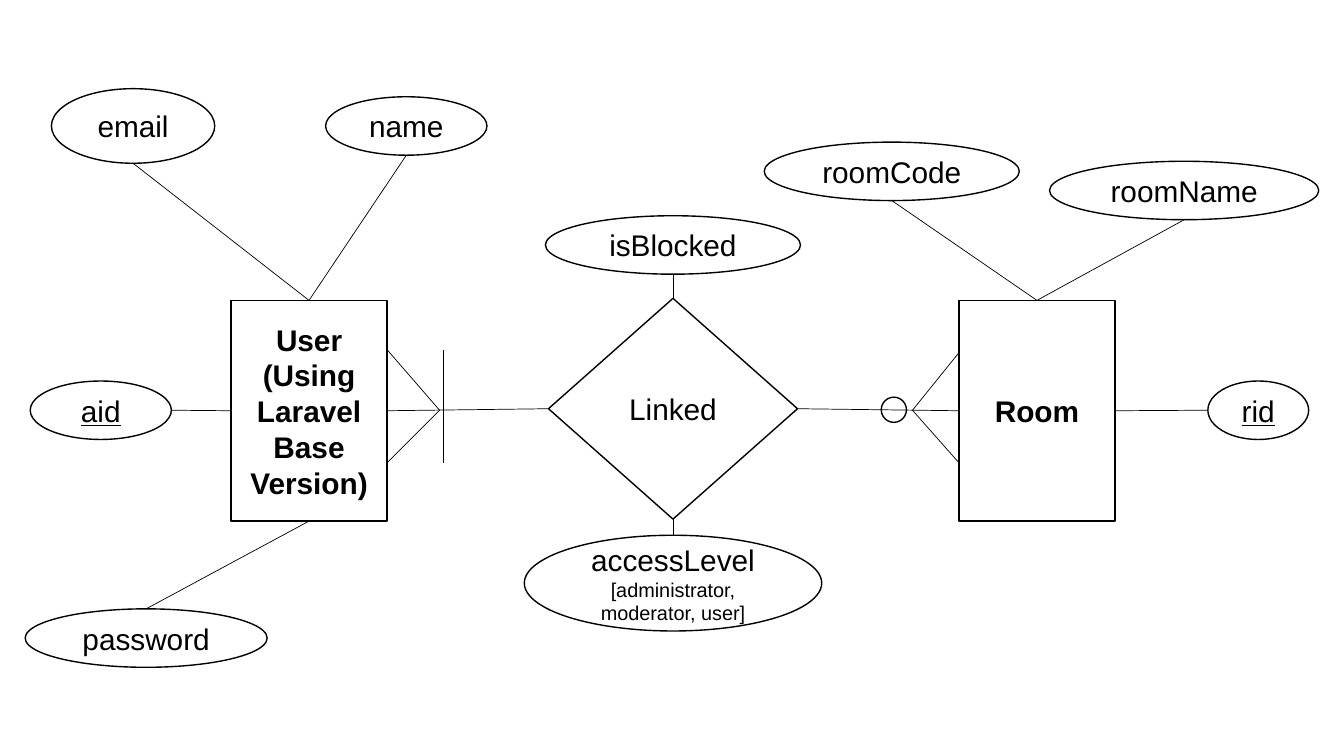
from pptx import Presentation
from pptx.dml.color import RGBColor
from pptx.enum.shapes import MSO_CONNECTOR, MSO_SHAPE
from pptx.enum.text import MSO_ANCHOR, PP_ALIGN
from pptx.oxml.ns import qn
from pptx.util import Inches, Pt
from lxml.etree import SubElement

CELL = 0.1
INK = "000000"
SIDES = {"top": (0.5, 0), "left": (0, 0.5), "low": (0.5, 1), "right": (1, 0.5)}


def grid(count):
    return Inches(count * CELL)


def paint(color, code):
    color.rgb = RGBColor.from_string(code)


def apply(target, values):
    for name, value in values.items():
        setattr(target, name, value)


def side(box, name):
    left, top, width, height = box
    across, down = SIDES[name]
    return left + across * width, top + down * height


class Chart:
    font = {"name": "Arial", "size": Pt(21.3)}
    frame = {"word_wrap": True, "vertical_anchor": MSO_ANCHOR.MIDDLE}

    def __init__(self, slide):
        self.slide = slide

    def node(self, kind, box, lines=(), **extra):
        shape = self.slide.shapes.add_shape(kind, *map(grid, box))
        shape.shadow.inherit = False
        shape.fill.background()
        shape.line.width = Pt(1)
        paint(shape.line.color, INK)
        frame = shape.text_frame
        apply(frame, self.frame)
        for index, (text, style) in enumerate(lines):
            para = frame.add_paragraph() if index else frame.paragraphs[0]
            para.alignment = PP_ALIGN.CENTER
            run = para.add_run()
            run.text = text
            apply(run.font, {**self.font, **extra, **style})
            paint(run.font.color, INK)

    def link(self, start, end):
        line = self.slide.shapes.add_connector(
            MSO_CONNECTOR.STRAIGHT, *map(grid, (*start, *end)))
        line.line.width = Pt(0.5)
        paint(line.line.color, INK)
        SubElement(line._element.spPr, qn("a:effectLst"))

    def foot(self, edge, tip, rows):
        for row in rows:
            self.link((edge, row), (tip, 40.7))


deck = Presentation()
deck.slide_width, deck.slide_height = Inches(13.33), Inches(7.5)
chart = Chart(deck.slides.add_slide(deck.slide_layouts[6]))

user = (22.9, 29.8, 15.5, 21.9)
room = (95.1, 29.8, 15.5, 21.9)
bond = (54.4, 29.6, 24.7, 21.9)
ring = (87.4, 39.4, 2.5, 2.5)

chart.node(MSO_SHAPE.RECTANGLE, user,
           [("User (Using Laravel Base Version)", {})], bold=True)
chart.node(MSO_SHAPE.RECTANGLE, room, [("Room", {})], bold=True)
chart.node(MSO_SHAPE.DIAMOND, bond, [("Linked", {})])
chart.node(MSO_SHAPE.OVAL, ring)

fields = [
    ("email", (5.1, 8.8, 16.2, 7.4), "low", user, "top", {}),
    ("name", (32.3, 9.6, 16, 5.8), "low", user, "top", {}),
    ("aid", (3, 37.8, 14, 5.8), "right", user, "left", {"underline": True}),
    ("password", (2.5, 60.4, 24, 5.8), "top", user, "low", {}),
    ("roomCode", (75.8, 14.1, 25.3, 5.8), "low", room, "top", {}),
    ("roomName", (104.1, 16, 26.7, 5.8), "low", room, "top", {}),
    ("rid", (119.8, 37.8, 10, 5.8), "left", room, "right", {"underline": True}),
    ("isBlocked", (54.1, 21.4, 25.3, 5.8), "low", bond, "top", {}),
    ("accessLevel", (52, 53.1, 29.5, 9.5), "top", bond, "low", {}),
]
notes = {"accessLevel": [("[administrator, moderator, user]", {"size": Pt(14.2)})]}

for name, box, exit, owner, entry, style in fields:
    chart.node(MSO_SHAPE.OVAL, box, [(name, {}), *notes.get(name, [])], **style)
    chart.link(side(box, exit), side(owner, entry))

chart.link(side(user, "right"), side(bond, "left"))
chart.link(side(bond, "right"), side(room, "left"))
chart.foot(side(user, "right")[0], 43.6, (34.7, 45.9))
chart.foot(side(room, "left")[0], 90.5, (35, 45.9))
chart.link((44, 34.7), (44, 45.9))

deck.save("out.pptx")
